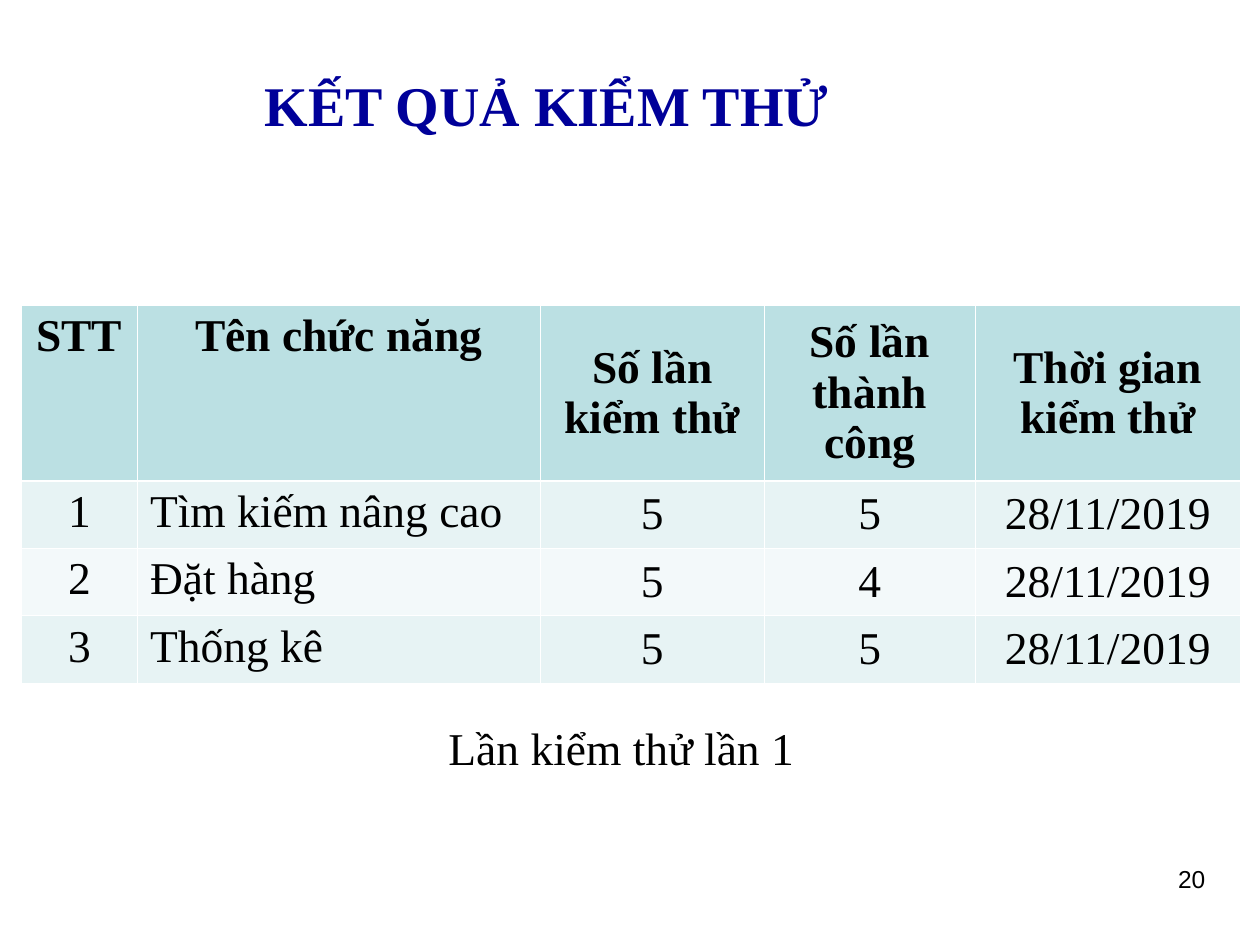
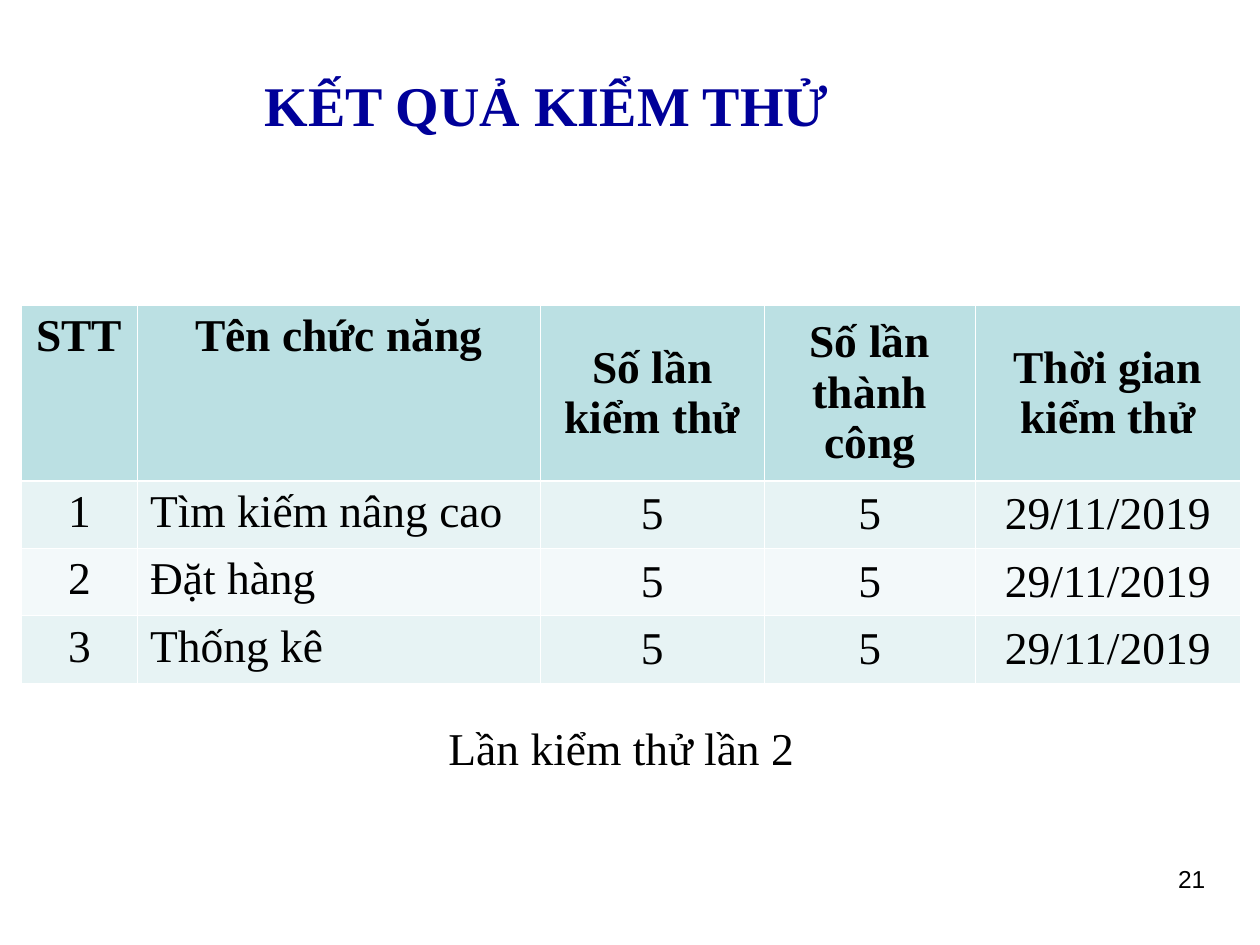
"""Build the two test-result slides, each with a title, a results table and a caption."""
from dataclasses import dataclass
from typing import NamedTuple

from lxml import etree
from pptx import Presentation
from pptx import util as u
from pptx.dml import color
from pptx.enum import text
from pptx.oxml import ns


@dataclass(frozen=True)
class Theme:
    serif: str = "Times New Roman"
    sans: str = "Arial"
    navy: str = "000099"
    black: str = "000000"
    white: str = "FFFFFF"
    header_fill: str = "BBE0E3"
    band_fills: tuple[str, str] = ("E7F3F4", "F3F9FA")
    title_size: float = 32
    body_size: float = 26
    number_size: float = 14
    thin_rule: float = 0.45
    header_rule: float = 1.47


class Area(NamedTuple):
    left: float
    top: float
    width: float
    height: float

    def lengths(self) -> list[u.Length]:
        return [u.Cm(value) for value in self]


class Column(NamedTuple):
    heading: str
    width: float
    align: text.PP_ALIGN = text.PP_ALIGN.CENTER
    anchor: text.MSO_ANCHOR = text.MSO_ANCHOR.MIDDLE


class TestRound(NamedTuple):
    number: int
    page_number: int
    date: str
    passes: tuple[int, ...]


THEME = Theme()
TITLE = "KẾT QUẢ KIỂM THỬ"
TITLE_AREA = Area(5.08, 0.79, 19.48, 2.62)
TABLE_AREA = Area(0.43, 6.15, 24.57, 7.62)
NUMBER_AREA = Area(18.62, 17.3, 5.93, 1.55)
CAPTION_AREA = Area(8.79, 14.4, 7.82, 1.37)
HEADER_HEIGHT = 3.54
ROW_HEIGHT = 1.36
COLUMNS = (
    Column("STT", 2.34, anchor=text.MSO_ANCHOR.TOP),
    Column("Tên chức năng", 8.13, text.PP_ALIGN.LEFT, text.MSO_ANCHOR.TOP),
    Column("Số lần kiểm thử", 4.5),
    Column("Số lần thành công", 4.27),
    Column("Thời gian kiểm thử", 5.33),
)
FUNCTIONS = ("Tìm kiếm nâng cao", "Đặt hàng", "Thống kê")
ATTEMPTS = 5
ROUNDS = (
    TestRound(1, 20, "28/11/2019", (5, 4, 5)),
    TestRound(2, 21, "29/11/2019", (5, 5, 5)),
)


def write(frame, words: str, size: float, font: str = THEME.serif, ink: str = THEME.black,
          bold: bool = False, align: text.PP_ALIGN = text.PP_ALIGN.LEFT) -> None:
    """Put one formatted paragraph into a text frame."""
    frame.text = words
    para = frame.paragraphs[0]
    para.alignment = align
    para.font.name = font
    para.font.size = u.Pt(size)
    para.font.bold = bold
    para.font.color.rgb = color.RGBColor.from_string(ink)


def add_title(page) -> None:
    """Place and format the title placeholder."""
    box = page.shapes.title
    box.left, box.top, box.width, box.height = TITLE_AREA.lengths()
    frame = box.text_frame
    frame.auto_size = text.MSO_AUTO_SIZE.NONE
    frame.vertical_anchor = text.MSO_ANCHOR.MIDDLE
    write(frame, TITLE, THEME.title_size, ink=THEME.navy, bold=True)


def add_label(page, area: Area, words: str, size: float, font: str = THEME.serif,
              align: text.PP_ALIGN = text.PP_ALIGN.LEFT) -> None:
    """Add a wrapping text box with one line of text."""
    frame = page.shapes.add_textbox(*area.lengths()).text_frame
    frame.word_wrap = True
    write(frame, words, size, font, align=align)


def rule_cell(cell, top: float, bottom: float) -> None:
    """Draw the four white borders of a cell."""
    properties = cell._tc.get_or_add_tcPr()
    widths = {"L": THEME.thin_rule, "R": THEME.thin_rule, "T": top, "B": bottom}
    for side, width in widths.items():
        line = etree.SubElement(properties, ns.qn(f"a:ln{side}"), w=str(u.Pt(width)))
        fill = etree.SubElement(line, ns.qn("a:solidFill"))
        etree.SubElement(fill, ns.qn("a:srgbClr"), val=THEME.white)


def add_results(page, test: TestRound) -> None:
    """Add the table of results for one test round."""
    rows = [[column.heading for column in COLUMNS]]
    for index, (name, passed) in enumerate(zip(FUNCTIONS, test.passes), 1):
        rows.append([str(index), name, str(ATTEMPTS), str(passed), test.date])
    table = page.shapes.add_table(len(rows), len(COLUMNS), *TABLE_AREA.lengths()).table
    for grid_column, column in zip(table.columns, COLUMNS):
        grid_column.width = u.Cm(column.width)
    for r, values in enumerate(rows):
        header = r == 0
        table.rows[r].height = u.Cm(HEADER_HEIGHT if header else ROW_HEIGHT)
        shade = THEME.header_fill if header else THEME.band_fills[(r - 1) % 2]
        top = THEME.header_rule if r == 1 else THEME.thin_rule
        bottom = THEME.header_rule if header else THEME.thin_rule
        for c, (words, column) in enumerate(zip(values, COLUMNS)):
            cell = table.cell(r, c)
            rule_cell(cell, top, bottom)
            cell.fill.solid()
            cell.fill.fore_color.rgb = color.RGBColor.from_string(shade)
            cell.vertical_anchor = column.anchor
            align = text.PP_ALIGN.CENTER if header else column.align
            write(cell.text_frame, words, THEME.body_size, bold=header, align=align)


def main() -> None:
    """Create the deck and save it."""
    deck = Presentation()
    deck.slide_width, deck.slide_height = u.Cm(25.4), u.Cm(19.05)
    title_only = deck.slide_layouts.get_by_name("Title Only")
    for test in ROUNDS:
        page = deck.slides.add_slide(title_only)
        add_title(page)
        add_results(page, test)
        add_label(page, NUMBER_AREA, str(test.page_number), THEME.number_size,
                  THEME.sans, text.PP_ALIGN.RIGHT)
        add_label(page, CAPTION_AREA, f"Lần kiểm thử lần {test.number}", THEME.body_size)
    deck.save("out.pptx")


if __name__ == "__main__":
    main()
